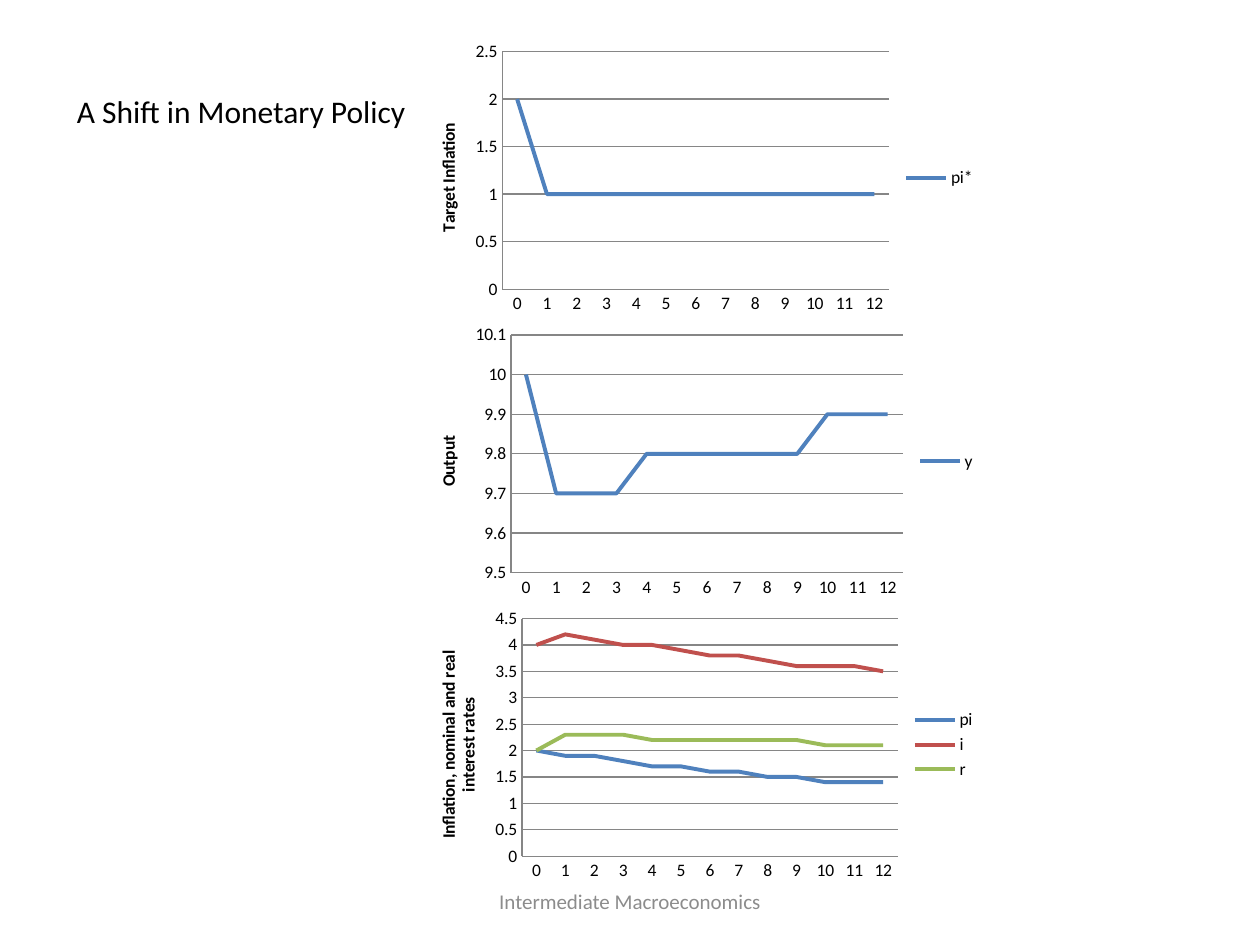
from pptx import Presentation
from pptx.chart.data import CategoryChartData
from pptx.dml.color import RGBColor
from pptx.enum.chart import XL_CHART_TYPE, XL_LEGEND_POSITION, XL_TICK_MARK
from pptx.enum.text import MSO_ANCHOR, MSO_AUTO_SIZE, PP_ALIGN
from pptx.util import Pt

FONT = "Calibri"
COLORS = {"text": "000000", "footer": "8C8C8C", "grid": "868686",
          "blue": "4F81BD", "red": "C0504D", "green": "9BBB59"}
TITLE = "A Shift in Monetary Policy"
FOOTER = "Intermediate Macroeconomics"
PERIODS = [str(n) for n in range(13)]
CHARTS = [
    ("Target Inflation", (0, 2.5, 0.5), [("pi*", "blue", [2] + [1] * 12)]),
    ("Output", (9.5, 10.1, 0.1), [
        ("y", "blue", [10, 9.7, 9.7, 9.7, 9.8, 9.8, 9.8, 9.8, 9.8, 9.8,
                       9.9, 9.9, 9.9])]),
    ("Inflation, nominal and real interest rates", (0, 4.5, 0.5), [
        ("pi", "blue", [2, 1.9, 1.9, 1.8, 1.7, 1.7, 1.6, 1.6, 1.5, 1.5,
                        1.4, 1.4, 1.4]),
        ("i", "red", [4, 4.2, 4.1, 4, 4, 3.9, 3.8, 3.8, 3.7, 3.6,
                      3.6, 3.6, 3.5]),
        ("r", "green", [2, 2.3, 2.3, 2.3, 2.2, 2.2, 2.2, 2.2, 2.2, 2.2,
                        2.1, 2.1, 2.1])]),
]
LEFT, TOP, WIDTH, HEIGHT = 235.2, 20.6, 329.8, 162


def rgb(name):
    return RGBColor.from_string(COLORS[name])


def set_font(font, size, color, bold=False):
    font.name = FONT
    font.size = Pt(size)
    font.bold = bold
    font.color.rgb = rgb(color)


def set_line(line, color, width):
    line.color.rgb = rgb(color)
    line.width = Pt(width)


def fill_text(shape, box, text, size, color, align, anchor):
    shape.left, shape.top, shape.width, shape.height = map(Pt, box)
    tf = shape.text_frame
    tf.word_wrap = True
    tf.auto_size = MSO_AUTO_SIZE.NONE
    tf.vertical_anchor = anchor
    p = tf.paragraphs[0]
    p.text = text
    p.alignment = align
    set_font(p.font, size, color)


def add_line_chart(s, top, axis_title, scale, series):
    data = CategoryChartData()
    data.categories = PERIODS
    for name, _, values in series:
        data.add_series(name, values)
    chart = s.shapes.add_chart(XL_CHART_TYPE.LINE, Pt(LEFT), Pt(top),
                               Pt(WIDTH), Pt(HEIGHT), data).chart
    set_font(chart.font, 10, "text")
    chart.has_title = False
    chart.has_legend = True
    chart.legend.position = XL_LEGEND_POSITION.RIGHT
    chart.legend.include_in_layout = False
    chart.plots[0].vary_by_categories = False
    for line, (_, color, _) in zip(chart.plots[0].series, series):
        line.smooth = False
        set_line(line.format.line, color, 2.25)
    value_axis = chart.value_axis
    for axis in (chart.category_axis, value_axis):
        axis.major_tick_mark = axis.minor_tick_mark = XL_TICK_MARK.NONE
        set_line(axis.format.line, "grid", 0.75)
    value_axis.minimum_scale, value_axis.maximum_scale, value_axis.major_unit = scale
    value_axis.tick_labels.number_format = "General"
    value_axis.tick_labels.number_format_is_linked = False
    value_axis.has_major_gridlines = True
    set_line(value_axis.major_gridlines.format.line, "grid", 0.75)
    p = value_axis.axis_title.text_frame.paragraphs[0]
    p.text = axis_title
    set_font(p.font, 10, "text", bold=True)


def main():
    prs = Presentation()
    prs.slide_width, prs.slide_height = Pt(720), Pt(540)
    s = prs.slides.add_slide(prs.slide_layouts[5])
    fill_text(s.shapes.title, (36.75, 49, 215, 29), TITLE, 18, "text",
              PP_ALIGN.LEFT, MSO_ANCHOR.TOP)
    fill_text(s.shapes.add_textbox(0, 0, 0, 0), (246, 500.5, 228, 28.75), FOOTER,
              12, "footer", PP_ALIGN.CENTER, MSO_ANCHOR.MIDDLE)
    for i, (axis_title, scale, series) in enumerate(CHARTS):
        add_line_chart(s, TOP + i * HEIGHT, axis_title, scale, series)
    prs.save("out.pptx")


if __name__ == "__main__":
    main()
